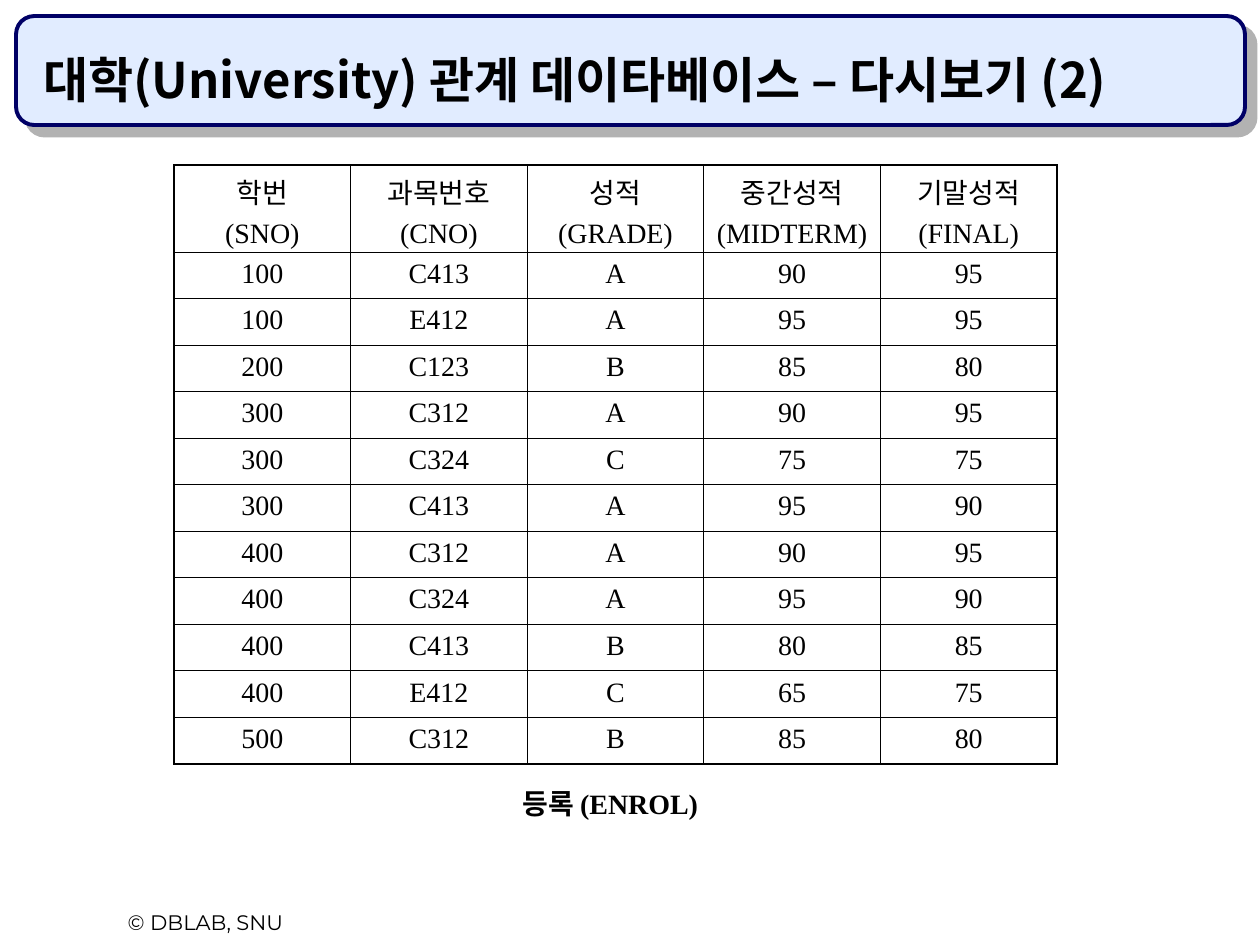
from lxml import etree
from pptx import Presentation
from pptx.dml.color import RGBColor
from pptx.enum.shapes import MSO_SHAPE
from pptx.enum.text import MSO_ANCHOR, PP_ALIGN
from pptx.oxml.ns import qn
from pptx.util import Emu, Pt

ROUND = MSO_SHAPE.ROUNDED_RECTANGLE
TOP, BOTTOM = MSO_ANCHOR.TOP, MSO_ANCHOR.BOTTOM
LEFT, CENTER = PP_ALIGN.LEFT, PP_ALIGN.CENTER
SCALE = 914400 / 126
COLORS = {"ink": "000000", "panel": "E1ECFF", "edge": "000066", "shade": "B2B2B2"}
SANS, SERIF, FOOT = "Noto Sans CJK KR", "Times New Roman", "Montserrat"
HEADS = ["학번\n(SNO)", "과목번호\n(CNO)", "성적\n(GRADE)", "중간성적\n(MIDTERM)", "기말성적\n(FINAL)"]
GRADES = [
    ["100", "C413", "A", "90", "95"],
    ["100", "E412", "A", "95", "95"],
    ["200", "C123", "B", "85", "80"],
    ["300", "C312", "A", "90", "95"],
    ["300", "C324", "C", "75", "75"],
    ["300", "C413", "A", "95", "90"],
    ["400", "C312", "A", "90", "95"],
    ["400", "C324", "A", "95", "90"],
    ["400", "C413", "B", "80", "85"],
    ["400", "E412", "C", "65", "75"],
    ["500", "C312", "B", "85", "80"],
]


def px(num):
    """Turn pixels into EMU."""
    return Emu(round(num * SCALE))


def rgb(name):
    """Look up a colour by name."""
    return RGBColor.from_string(COLORS[name])


def add(parent, tag, **attrs):
    """Append a drawing element to a parent and return it."""
    return etree.SubElement(parent, qn("a:" + tag), {k: str(v) for k, v in attrs.items()})


def write(frame, text, font=SERIF, size=16, bold=False, align=LEFT, before=0):
    """Fill a text frame, one paragraph per line of text."""
    for i, line in enumerate(text.split("\n")):
        para = frame.paragraphs[0] if i == 0 else frame.add_paragraph()
        para.alignment = align
        para.space_before = Pt(before)
        run = para.add_run()
        run.text = line
        run.font.name, run.font.size, run.font.bold = font, Pt(size), bold
        run.font.color.rgb = rgb("ink")
        add(run.font._element, "ea", typeface=SANS)


def label(slide, box, text, anchor=TOP, wrap=True, **style):
    """Place a text box on the slide."""
    frame = slide.shapes.add_textbox(*map(px, box)).text_frame
    frame.word_wrap, frame.vertical_anchor = wrap, anchor
    write(frame, text, **style)


def panel(slide, box):
    """Draw the rounded title panel with its hard shadow."""
    shape = slide.shapes.add_shape(ROUND, *map(px, box))
    shape.shadow.inherit = False
    shape.fill.solid()
    shape.fill.fore_color.rgb = rgb("panel")
    shape.line.color.rgb = rgb("edge")
    shape.line.width = Pt(2.25)
    effects = shape._element.spPr.find(qn("a:effectLst"))
    shade = add(effects, "outerShdw", dist=Pt(8.5), dir=45 * 60000, algn="ctr", rotWithShape=0)
    add(shade, "srgbClr", val=COLORS["shade"])


def border(cell, widths):
    """Set the left, right, top and bottom borders of a cell."""
    props = cell._tc.get_or_add_tcPr()
    for side, width in zip("LRTB", widths):
        line = add(props, "ln" + side, w=Pt(width))
        add(add(line, "solidFill"), "srgbClr", val=COLORS["ink"])


def grid(slide, box, rows, head, thick=1.08, thin=0.45):
    """Add a table with a taller head row and a thicker outer frame."""
    last, end = len(rows) - 1, len(rows[0]) - 1
    table = slide.shapes.add_table(last + 1, end + 1, *map(px, box)).table
    table.first_row = table.horz_banding = False
    for col in table.columns:
        col.width = px(box[2] / (end + 1))
    for r, row in enumerate(rows):
        table.rows[r].height = px((box[3] - head) / last if r else head)
        for c, text in enumerate(row):
            cell = table.cell(r, c)
            outer = (c == 0, c == end, r == 0, r == last)
            border(cell, [thick if edge else thin for edge in outer])
            cell.fill.background()
            write(cell.text_frame, text, align=CENTER, before=4)


def main():
    """Build the slide and save it."""
    deck = Presentation()
    deck.slide_width, deck.slide_height = px(1260), px(945)
    slide = deck.slides.add_slide(deck.slide_layouts[6])
    panel(slide, (16, 16, 1229, 109))
    label(slide, (53, 903, 305, 38), "© DBLAB, SNU", font=FOOT, size=12, align=CENTER, before=7.5)
    label(slide, (31, 31, 1187, 84), "대학(University) 관계 데이타베이스 – 다시보기 (2)",
          anchor=BOTTOM, font=SANS, size=28, bold=True)
    label(slide, (510, 780, 207, 47), "등록 (ENROL)", wrap=False, bold=True)
    grid(slide, (174, 165, 883, 599), [HEADS] + GRADES, head=87)
    deck.save("out.pptx")


main()
